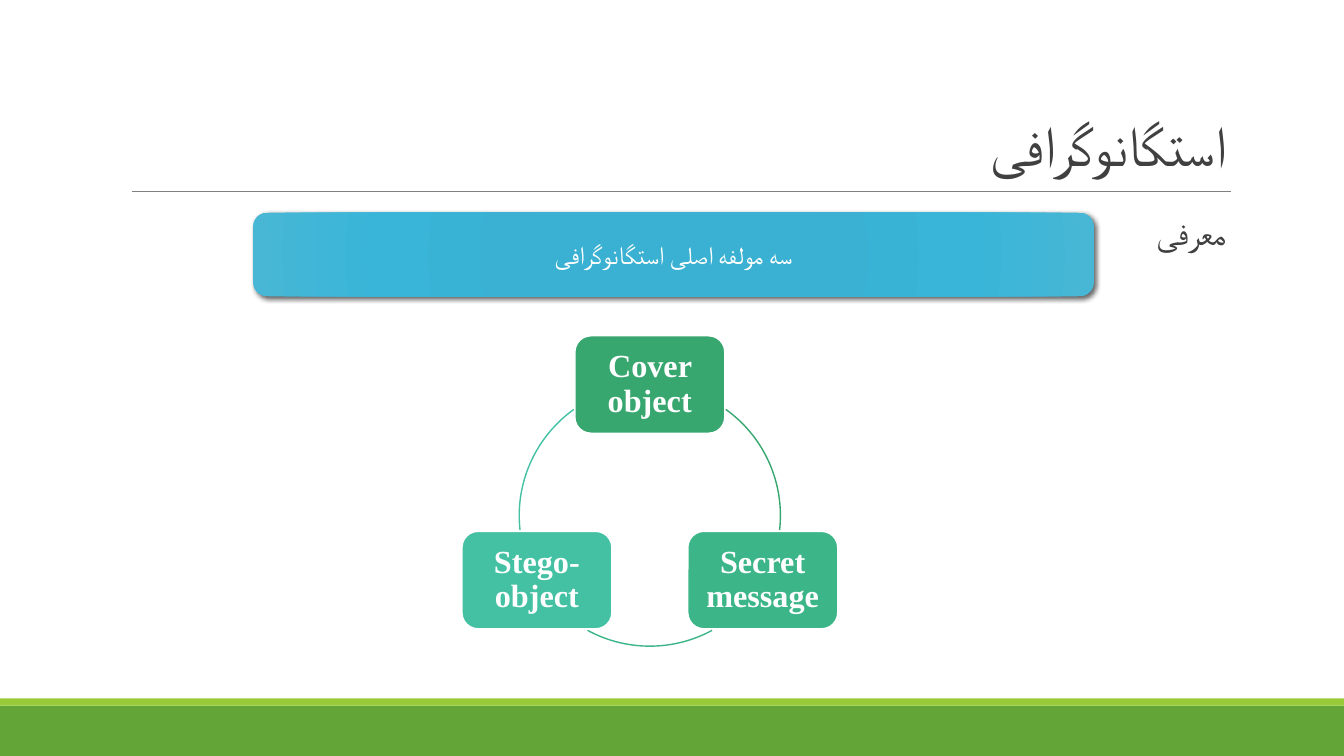
from typing import NamedTuple

import pptx
import pptx.dml.color
import pptx.enum.shapes
import pptx.enum.text
import pptx.oxml
import pptx.oxml.ns
import pptx.util
from pptx.dml.color import RGBColor
from pptx.util import Inches

GREEN = RGBColor(0x63, 0xA5, 0x37)
LIME = RGBColor(0x99, 0xCB, 0x38)
GRAY = RGBColor(0x80, 0x80, 0x80)
DARK = RGBColor(0x40, 0x40, 0x40)
WHITE = RGBColor(0xFF, 0xFF, 0xFF)
BLACK = RGBColor(0x00, 0x00, 0x00)
COVER = RGBColor(0x37, 0xA7, 0x6F)
SECRET = RGBColor(0x3C, 0xB6, 0x89)
STEGO = RGBColor(0x44, 0xC1, 0xA3)
BANNER_STOPS = [
    (0, RGBColor(0x37, 0xB1, 0xD3)),
    (34, RGBColor(0x3A, 0xB1, 0xD2)),
    (70, RGBColor(0x38, 0xB5, 0xD8)),
    (100, RGBColor(0x48, 0xB7, 0xD5)),
]

SHAPE = pptx.enum.shapes.MSO_SHAPE
ALIGN = pptx.enum.text.PP_ALIGN
ANCHOR = pptx.enum.text.MSO_ANCHOR
NS = 'xmlns:a="http://schemas.openxmlformats.org/drawingml/2006/main"'
SLIDE_W = 13.33
NODE_W, NODE_H = 1.49, 0.97
RING_X, RING_Y, RING_D = 5.15, 3.82, 2.59


class Node(NamedTuple):
    text: str
    color: RGBColor
    left: float
    top: float
    arc_start: float
    arc_end: float


NODES = [
    Node("Cover object", COVER, 5.7, 3.33, 305.6, 6.4),
    Node("Secret message", SECRET, 6.82, 5.27, 61.5, 118.5),
    Node("Stego-object", STEGO, 4.58, 5.27, 173.6, 234.4),
]


def write(sp, text: str, *, size: float, color: RGBColor, font: str = "Calibri",
          bold: bool = False, align=ALIGN.CENTER, anchor=ANCHOR.MIDDLE,
          leading: float = 1.0, rtl: bool = False, spacing: float = 0) -> None:
    tf = sp.text_frame
    tf.word_wrap = True
    tf.auto_size = pptx.enum.text.MSO_AUTO_SIZE.NONE
    tf.vertical_anchor = anchor
    p = tf.paragraphs[0]
    p.alignment = align
    p.line_spacing = leading
    if rtl:
        p._p.get_or_add_pPr().set("rtl", "1")
    r = p.add_run()
    r.text = text
    r.font.name = font
    r.font.size = pptx.util.Pt(size)
    r.font.bold = bold
    r.font.color.rgb = color
    rpr = r._r.get_or_add_rPr()
    if spacing:
        rpr.set("spc", str(int(spacing * 100)))
    rpr.append(pptx.oxml.parse_xml(f'<a:cs {NS} typeface="{font}"/>'))


def add_shape(s, kind, left: float, top: float, width: float, height: float,
              fill: RGBColor | None = None, line: RGBColor | None = None,
              weight: float = 1):
    sp = s.shapes.add_shape(kind, Inches(left), Inches(top), Inches(width), Inches(height))
    sp.shadow.inherit = False
    if fill is None:
        sp.fill.background()
    else:
        sp.fill.solid()
        sp.fill.fore_color.rgb = fill
    if line is None:
        sp.line.fill.background()
    else:
        sp.line.color.rgb = line
        sp.line.width = pptx.util.Pt(weight)
    return sp


def add_rule(s, left: float, right: float, y: float) -> None:
    cx = s.shapes.add_connector(pptx.enum.shapes.MSO_CONNECTOR.STRAIGHT,
                                Inches(left), Inches(y), Inches(right), Inches(y))
    cx.line.color.rgb = GRAY
    cx.line.width = pptx.util.Pt(0.5)
    cx._element.spPr.append(pptx.oxml.parse_xml(f"<a:effectLst {NS}/>"))


def add_node(s, node: Node) -> None:
    sp = add_shape(s, SHAPE.ROUNDED_RECTANGLE, node.left, node.top, NODE_W, NODE_H,
                   node.color, WHITE, 1.25)
    write(sp, node.text, size=23, color=WHITE, font="Times New Roman", bold=True, leading=0.9)
    arc = add_shape(s, SHAPE.ARC, RING_X, RING_Y, RING_D, RING_D, line=node.color)
    arc.adjustments[0] = node.arc_start * 0.6
    arc.adjustments[1] = node.arc_end * 0.6


def add_banner(s, text: str) -> None:
    sp = add_shape(s, SHAPE.ROUNDED_RECTANGLE, 2.51, 2.11, 8.34, 0.83)
    stops = "".join(f'<a:gs pos="{pos * 1000}"><a:srgbClr val="{color}"/></a:gs>'
                    for pos, color in BANNER_STOPS)
    gradient = pptx.oxml.parse_xml(
        f'<a:gradFill {NS} rotWithShape="1"><a:gsLst>{stops}</a:gsLst><a:path path="circle">'
        '<a:fillToRect l="100000" t="100000" r="100000" b="100000"/></a:path></a:gradFill>')
    shadow = pptx.oxml.parse_xml(
        f'<a:outerShdw {NS} blurRad="{pptx.util.Pt(3.5)}" dist="{pptx.util.Pt(2)}" '
        f'dir="{45 * 60000}" rotWithShape="0"><a:srgbClr val="{BLACK}">'
        '<a:alpha val="60000"/></a:srgbClr></a:outerShdw>')
    pr = sp._element.spPr
    pr.replace(pr.find(pptx.oxml.ns.qn("a:noFill")), gradient)
    pr.find(pptx.oxml.ns.qn("a:effectLst")).append(shadow)
    write(sp, text, size=18, color=WHITE, rtl=True)


def place(sp, left: float, top: float, width: float, height: float) -> None:
    sp.left, sp.top = Inches(left), Inches(top)
    sp.width, sp.height = Inches(width), Inches(height)


prs = pptx.Presentation()
prs.slide_width, prs.slide_height = Inches(SLIDE_W), Inches(7.5)
s = prs.slides.add_slide(prs.slide_layouts[5])

add_shape(s, SHAPE.RECTANGLE, 0, 7, SLIDE_W, 0.5, GREEN)
add_shape(s, SHAPE.RECTANGLE, 0, 6.93, SLIDE_W, 0.07, LIME)
add_rule(s, 1.31, 12.21, 1.9)

heading = dict(color=DARK, align=ALIGN.RIGHT, anchor=ANCHOR.BOTTOM,
               leading=0.85, rtl=True, spacing=-0.5)
title = s.shapes.title
place(title, 2.14, 1, 10.12, 0.82)
write(title, "استگانوگرافی", size=40, **heading)
subtitle = s.shapes.add_textbox(Inches(2.14), Inches(2.03), Inches(10.12), Inches(0.52))
write(subtitle, "معرفی", size=24, **heading)

for node in NODES:
    add_node(s, node)
add_banner(s, "سه مولفه اصلی استگانوگرافی")

prs.save("out.pptx")
